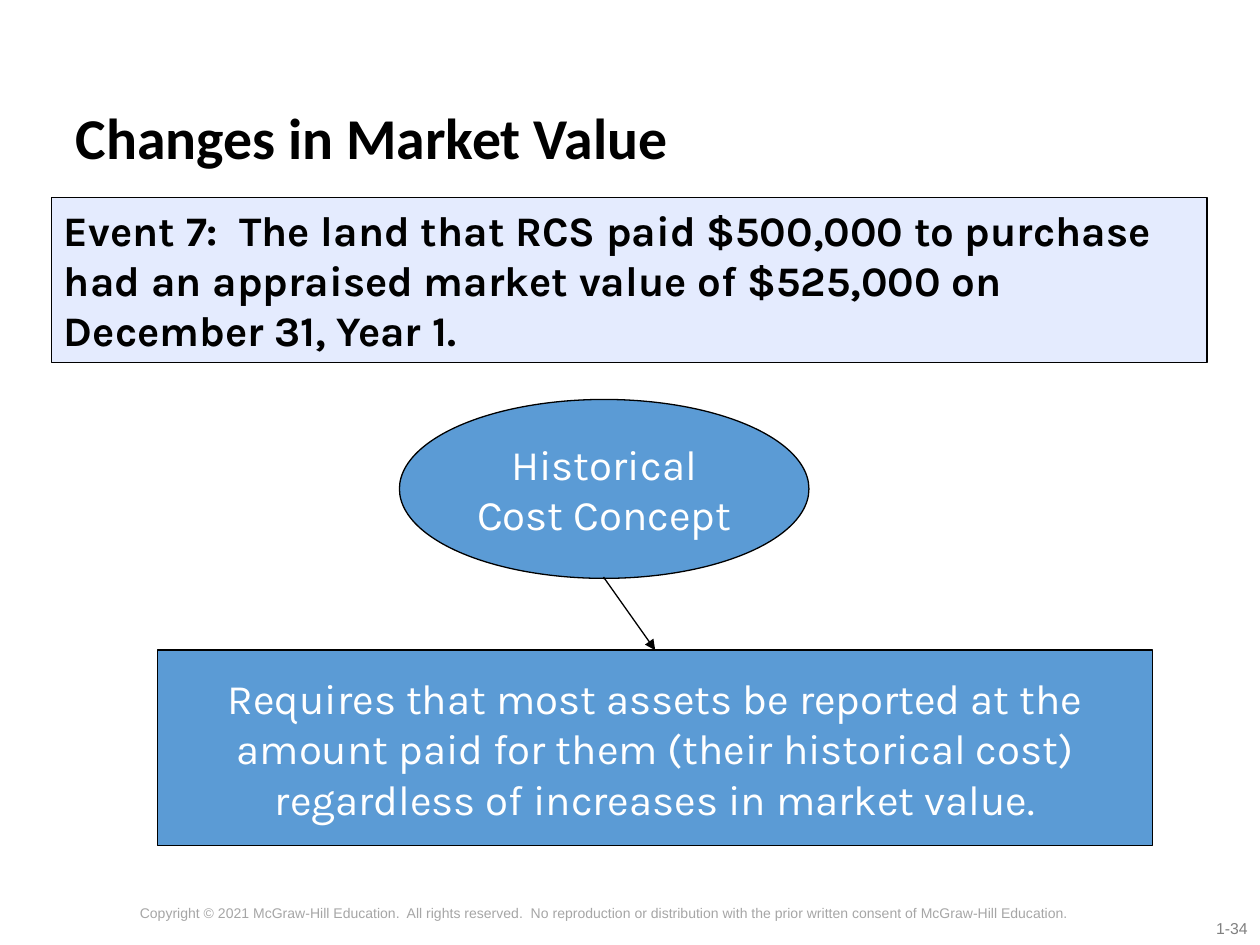
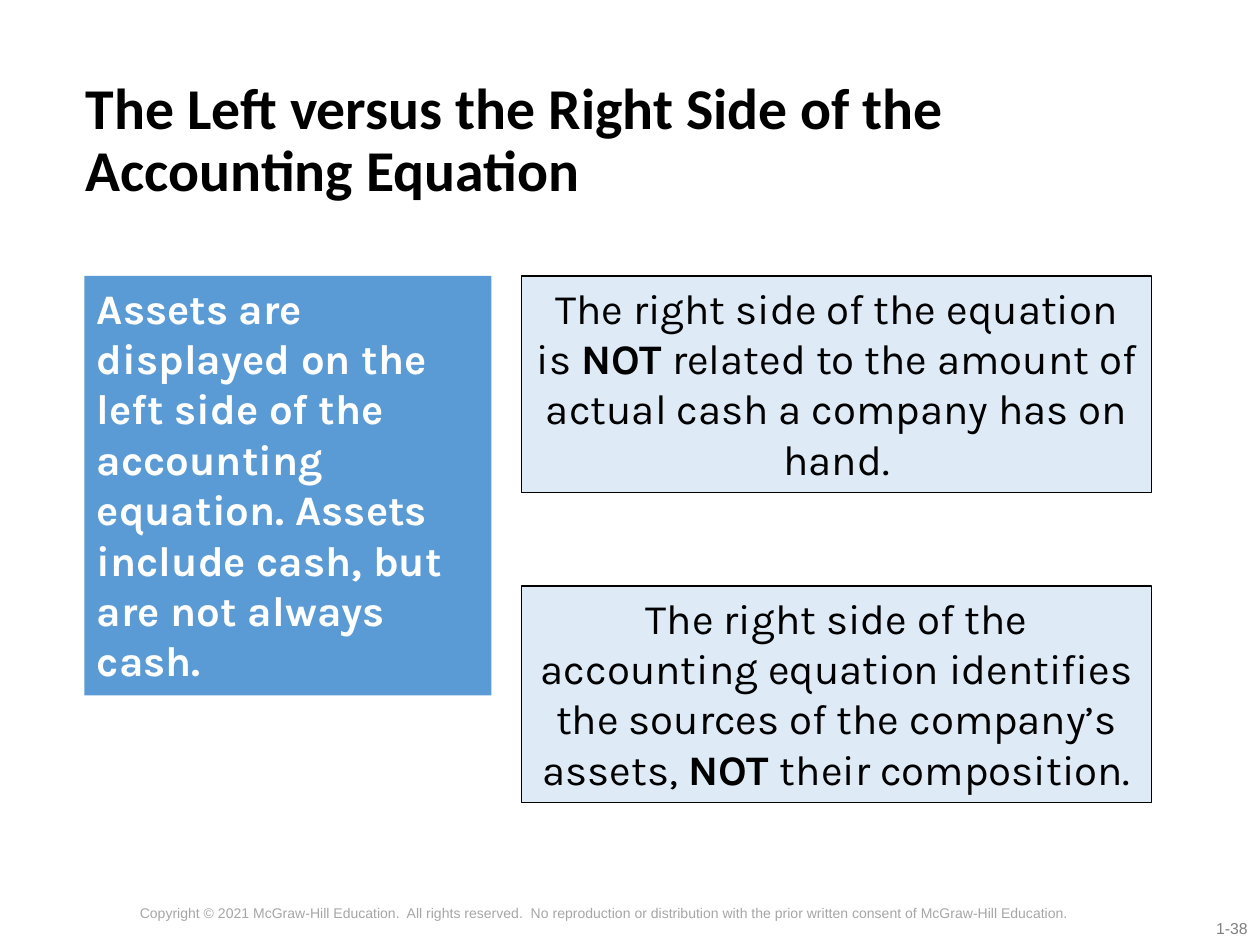
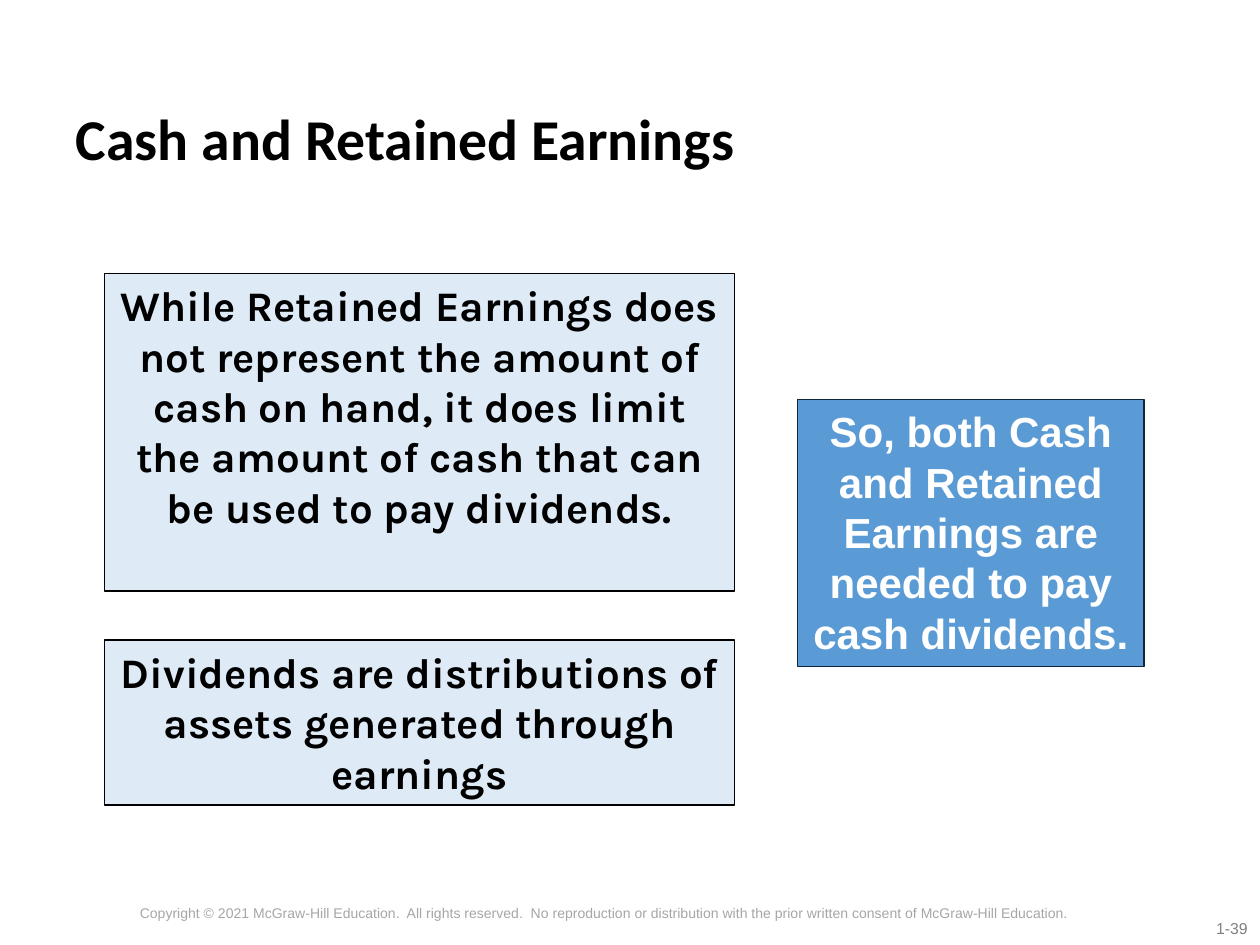
from dataclasses import dataclass

from lxml.etree import SubElement
from pptx import Presentation
from pptx.dml.color import RGBColor
from pptx.enum.shapes import MSO_CONNECTOR, MSO_SHAPE as Preset
from pptx.enum.text import MSO_ANCHOR as Anchor, MSO_AUTO_SIZE, PP_ALIGN as Align
from pptx.oxml.ns import qn
from pptx.slide import Slide
from pptx.text.text import TextFrame
from pptx.util import Pt

EMU_PER_PX = 9144  # 100 px to the inch
SLIDE_WIDTH, SLIDE_HEIGHT = 1000, 750
LINE_WIDTH = Pt(0.75)
TITLE_FONT, BODY_FONT, PLAIN_FONT = "Calibri", "Karla", "Arial"
COLORS = {
    "black": "000000",
    "white": "FFFFFF",
    "blue": "5B9BD5",
    "pale blue": "DEEBF7",
    "lavender": "E4EBFE",
    "navy": "0F273D",
    "page gray": "808080",
    "copyright gray": "A6A6A6",
}
COPYRIGHT = (
    "Copyright © 2021 McGraw-Hill Education.  All rights reserved.  "
    "No reproduction or distribution with the prior written consent of McGraw-Hill Education."
)


@dataclass(frozen=True)
class Area:
    left: int
    top: int
    width: int
    height: int

    def emu(self) -> tuple[int, ...]:
        return tuple(px(n) for n in (self.left, self.top, self.width, self.height))


@dataclass(frozen=True)
class TextStyle:
    size: int
    color: str
    font: str = BODY_FONT
    bold: bool = False
    align: Align = Align.CENTER
    line_spacing: float = 1.0


@dataclass(frozen=True)
class Panel:
    """A filled shape with text; ** encloses bold words."""
    area: Area
    fill: str
    text: tuple[str, ...]
    style: TextStyle
    line: str | None = "black"
    preset: Preset = Preset.RECTANGLE
    anchor: Anchor = Anchor.TOP


@dataclass(frozen=True)
class Arrow:
    start: tuple[int, int]
    end: tuple[int, int]


@dataclass(frozen=True)
class Page:
    number: str
    title: str
    title_area: Area
    panels: tuple[Panel, ...]
    arrows: tuple[Arrow, ...] = ()


TITLE = TextStyle(33, "black", TITLE_FONT, bold=True, align=Align.LEFT, line_spacing=0.9)
PAGE_NUMBER = TextStyle(9, "page gray", PLAIN_FONT, align=Align.RIGHT)
COPYRIGHT_LINE = TextStyle(8, "copyright gray", PLAIN_FONT)
EVENT = TextStyle(24, "black", bold=True, align=Align.LEFT)
CONCEPT = TextStyle(24, "white")
ASSETS = TextStyle(24, "white", bold=True, align=Align.LEFT)
RIGHT_SIDE = TextStyle(24, "black")
EARNINGS = TextStyle(24, "black", bold=True)
CONCLUSION = TextStyle(24, "white", PLAIN_FONT, bold=True)

PAGES = (
    Page(
        "1-34", "Changes in Market Value", Area(50, 82, 881, 60),
        (
            Panel(Area(41, 157, 917, 131), "lavender",
                  ("Event 7:  The land that RCS paid $500,000 to purchase had an appraised "
                   "market value of $525,000 on December 31, Year 1.",), EVENT),
            Panel(Area(317, 317, 325, 142), "blue", ("Historical Cost Concept",), CONCEPT,
                  preset=Preset.OVAL, anchor=Anchor.MIDDLE),
            Panel(Area(125, 516, 790, 155), "blue",
                  ("Requires that most assets be reported at the amount paid for them "
                   "(their historical cost) regardless of increases in market value.",),
                  CONCEPT, anchor=Anchor.MIDDLE),
        ),
        (Arrow((479, 458), (520, 516)),),
    ),
    Page(
        "1-38", "The Left versus the Right Side of the Accounting Equation",
        Area(58, 40, 873, 145),
        (
            Panel(Area(414, 465, 500, 172), "pale blue",
                  ("The right side of the accounting equation identifies the sources of "
                   "the company’s assets, **NOT **their composition.",), RIGHT_SIDE),
            Panel(Area(414, 219, 500, 172), "pale blue",
                  ("The right side of the equation",
                   "is **NOT** related to the amount of actual cash a company has on hand."),
                  RIGHT_SIDE),
            Panel(Area(67, 219, 323, 333), "blue",
                  ("Assets are displayed on the left side of the accounting equation. "
                   "Assets include cash, but are not always cash.",), ASSETS, line=None),
        ),
    ),
    Page(
        "1-39", "Cash and Retained Earnings", Area(50, 40, 881, 145),
        (
            Panel(Area(83, 217, 500, 252), "pale blue",
                  ("While Retained Earnings does not represent the amount of cash on hand, "
                   "it does limit the amount of cash that can be used to pay dividends.",),
                  EARNINGS),
            Panel(Area(633, 317, 275, 212), "blue",
                  ("So, both Cash and Retained Earnings are needed to pay cash dividends.",),
                  CONCLUSION, line="navy"),
            Panel(Area(83, 508, 500, 131), "pale blue",
                  ("Dividends are distributions of assets generated through earnings",),
                  EARNINGS),
        ),
    ),
)


def px(length: int) -> int:
    return length * EMU_PER_PX


def rgb(name: str) -> RGBColor:
    return RGBColor.from_string(COLORS[name])


def write(frame: TextFrame, lines: tuple[str, ...], style: TextStyle,
          anchor: Anchor = Anchor.TOP) -> None:
    frame.word_wrap = True
    frame.auto_size = MSO_AUTO_SIZE.NONE
    frame.vertical_anchor = anchor
    for index, line in enumerate(lines):
        paragraph = frame.add_paragraph() if index else frame.paragraphs[0]
        paragraph.alignment = style.align
        paragraph.line_spacing = style.line_spacing
        font = paragraph.font
        font.name, font.size, font.bold = style.font, Pt(style.size), style.bold
        font.color.rgb = rgb(style.color)
        for part, words in enumerate(line.split("**")):
            run = paragraph.add_run()
            run.text = words
            if part % 2:
                run.font.bold = True


def draw_panel(slide: Slide, panel: Panel) -> None:
    shape = slide.shapes.add_shape(panel.preset, *panel.area.emu())
    shape.shadow.inherit = False
    shape.fill.solid()
    shape.fill.fore_color.rgb = rgb(panel.fill)
    if panel.line:
        shape.line.color.rgb = rgb(panel.line)
        shape.line.width = LINE_WIDTH
    else:
        shape.line.fill.background()
    write(shape.text_frame, panel.text, panel.style, panel.anchor)


def draw_arrow(slide: Slide, arrow: Arrow) -> None:
    ends = (px(n) for n in arrow.start + arrow.end)
    connector = slide.shapes.add_connector(MSO_CONNECTOR.STRAIGHT, *ends)
    connector.line.color.rgb = rgb("black")
    connector.line.width = LINE_WIDTH
    SubElement(connector.line._get_or_add_ln(), qn("a:tailEnd"), type="triangle")
    SubElement(connector._element.spPr, qn("a:effectLst"))


def draw_text(slide: Slide, area: Area, text: str, style: TextStyle) -> None:
    write(slide.shapes.add_textbox(*area.emu()).text_frame, (text,), style)


def draw_title(slide: Slide, text: str, area: Area) -> None:
    title = slide.shapes.title
    title.left, title.top, title.width, title.height = area.emu()
    write(title.text_frame, (text,), TITLE, Anchor.MIDDLE)


def draw_page(slide: Slide, page: Page) -> None:
    draw_text(slide, Area(879, 724, 121, 25), page.number, PAGE_NUMBER)
    draw_text(slide, Area(1, 713, 958, 37), COPYRIGHT, COPYRIGHT_LINE)
    draw_title(slide, page.title, page.title_area)
    for panel in page.panels:
        draw_panel(slide, panel)
    for arrow in page.arrows:
        draw_arrow(slide, arrow)


def main() -> None:
    deck = Presentation()
    deck.slide_width, deck.slide_height = px(SLIDE_WIDTH), px(SLIDE_HEIGHT)
    title_only = deck.slide_layouts[5]
    for page in PAGES:
        draw_page(deck.slides.add_slide(title_only), page)
    deck.save("out.pptx")


if __name__ == "__main__":
    main()
